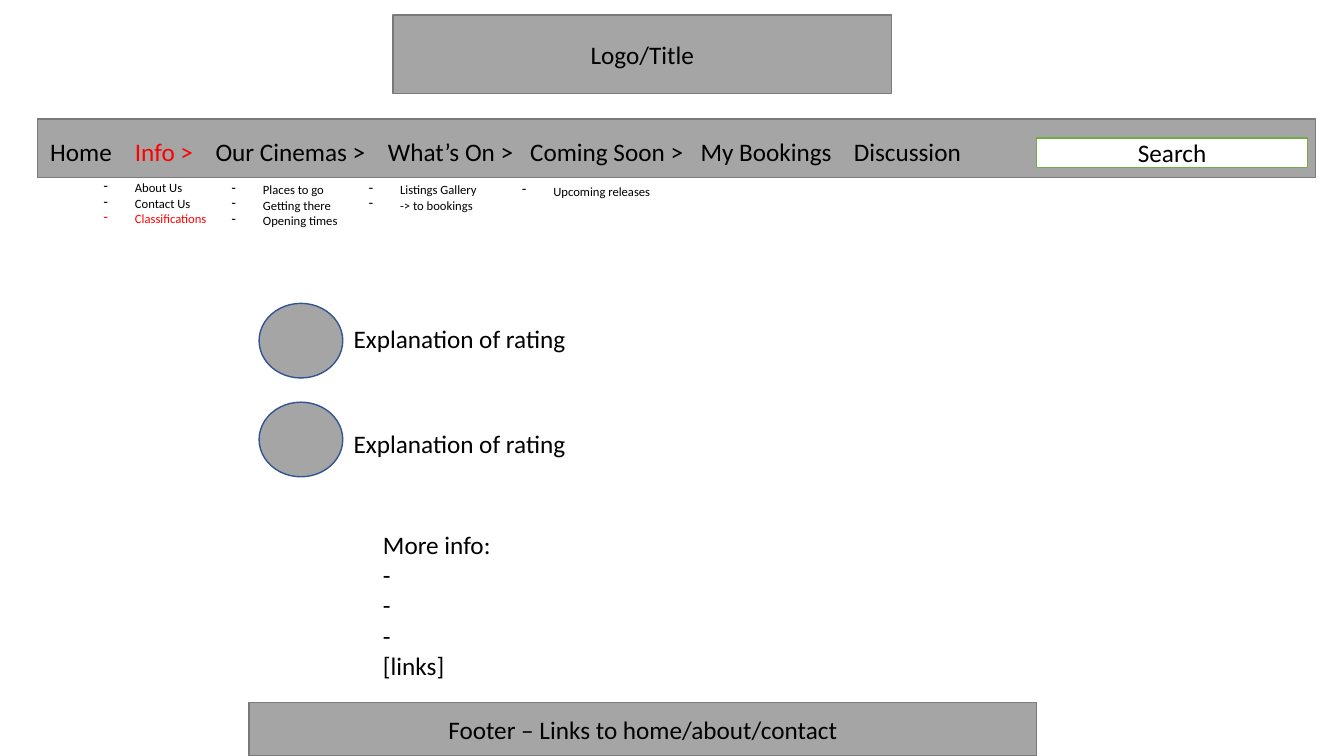
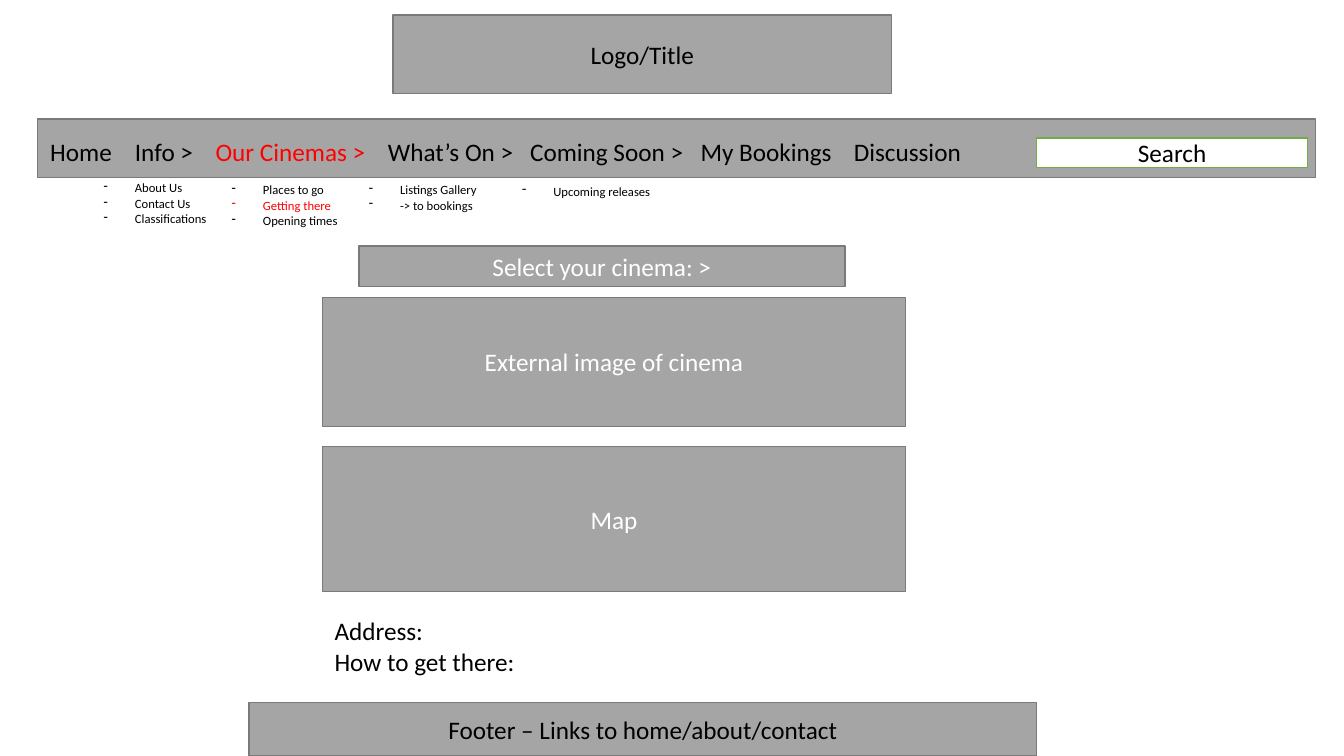
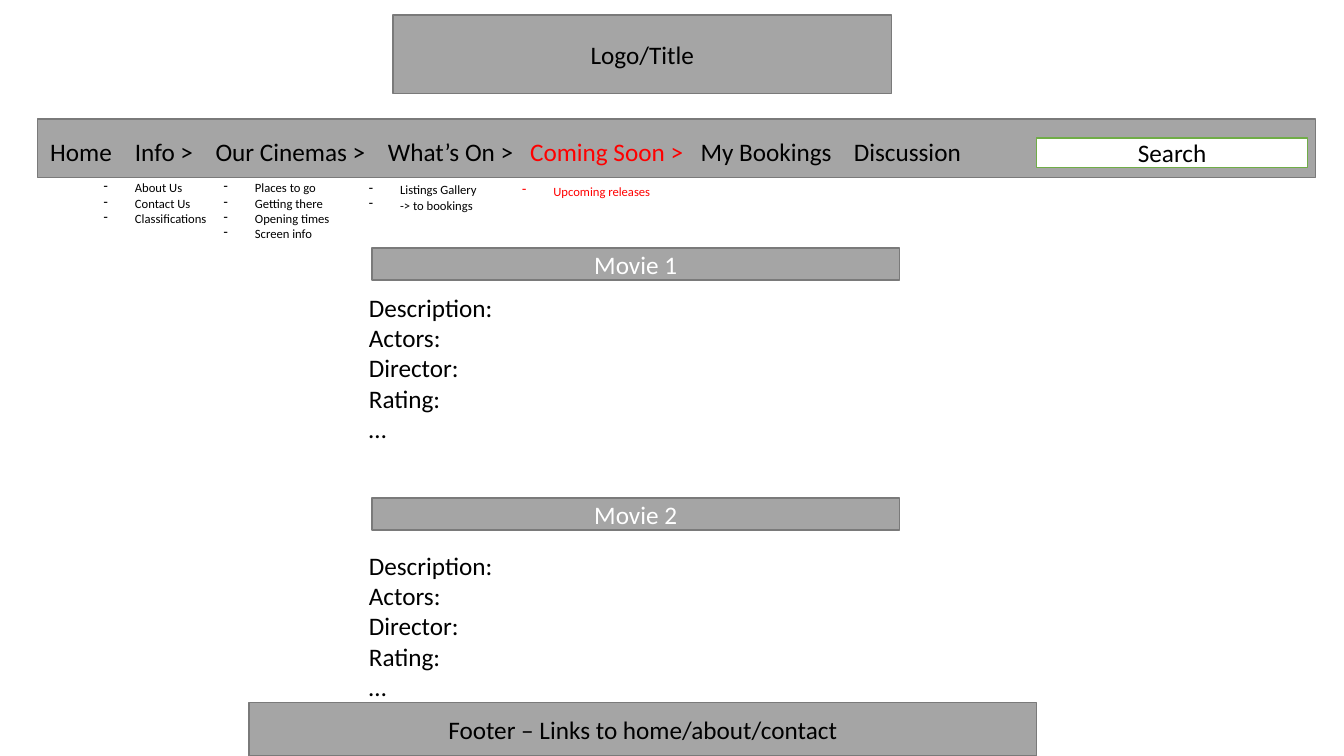
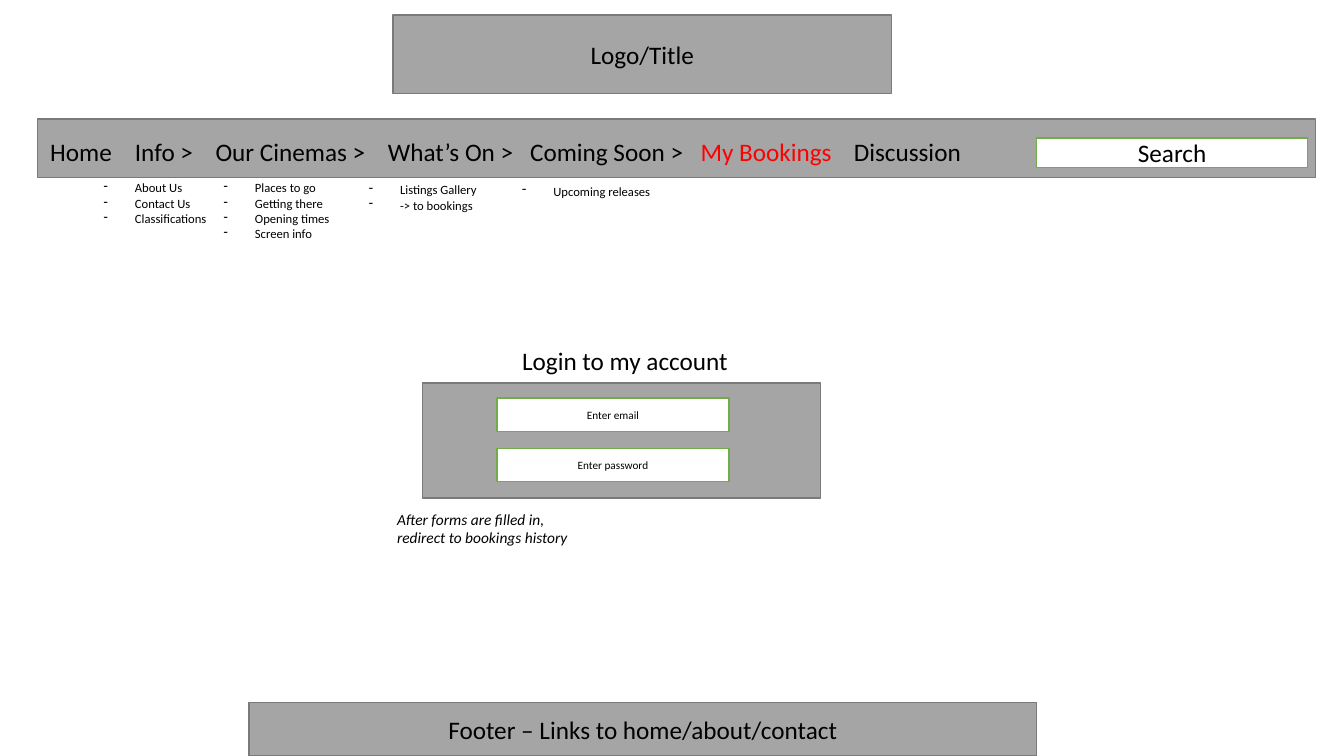
from lxml.etree import SubElement
from pptx import Presentation
from pptx.dml.color import RGBColor
from pptx.enum.shapes import MSO_SHAPE as Shape
from pptx.enum.text import MSO_ANCHOR as Anchor, MSO_AUTO_SIZE as AutoSize, PP_ALIGN as Align
from pptx.oxml.ns import qn
from pptx.util import Inches, Pt

FONT = "Calibri"
BLACK, WHITE, RED = "000000", "FFFFFF", "FF0000"
GREY, GREY_LINE, GREEN, BLUE = "A5A5A5", "7A7A7A", "70AD47", "325491"

# Lengths are inches; a box is left, top, width, height.
NAV = ["Home", "Info >", "Our Cinemas >", "What’s On >", "Coming Soon >",
       "My Bookings", "Discussion"]
NAV_TABS = [0.84, 1.64, 3.35, 4.76, 6.45, 7.97]
CINEMAS = ["Places to go", "Getting there", "Opening times"]
CINEMAS_MENU = ((2.2, 1.76, 1.58, 0.56), CINEMAS)
CINEMAS_LONG_MENU = ((2.12, 1.74, 1.58, 0.71), CINEMAS + ["Screen info"])
MENUS = [
    ((3.56, 1.76, 1.28, 0.4), ["Listings Gallery", "-> to bookings"]),
    ((5.08, 1.77, 6.69, 0.25), ["Upcoming releases"]),
    ((0.93, 1.74, 1.32, 0.56), ["About Us", "Contact Us", "Classifications"]),
]
RATINGS = [("Explanation of rating", 3.01, 3.16), ("Explanation of rating", 3.99, 4.2)]
MORE_INFO = ["More info:", "-", "-", "-", "[links]"]
CINEMA_PANELS = [
    ("Select your cinema: >", (3.56, 2.44, 4.82, 0.4)),
    ("External image of cinema", (3.2, 2.95, 5.78, 1.28)),
    ("Map", (3.2, 4.43, 5.78, 1.44)),
]
DIRECTIONS = ["Address:", "How to get there:"]
MOVIES = [("Movie 1", 2.46, 2.85), ("Movie 2", 4.94, 5.41)]
MOVIE_FACTS = ["Description:", "Actors:", "Director:", "Rating:", "…"]
LOGIN_FIELDS = ["Enter email", "Enter password"]


def rgb(color):
    return RGBColor.from_string(color)


def write(tf, lines, size=18, color=BLACK, align=Align.LEFT, italic=False,
          bullet=None, tabs=(), active=()):
    """Write one paragraph per line; tab-separated parts listed in active turn red."""
    for i, line in enumerate(lines):
        p = tf.paragraphs[0] if i == 0 else tf.add_paragraph()
        p.alignment = align
        pPr = p._p.get_or_add_pPr()
        if bullet:
            pPr.set("marL", str(Inches(0.31)))
            pPr.set("indent", str(-Inches(0.31)))
            SubElement(pPr, qn("a:buChar"), char=bullet)
        if tabs:
            tab_list = SubElement(pPr, qn("a:tabLst"))
            for pos in tabs:
                SubElement(tab_list, qn("a:tab"), pos=str(Inches(pos)), algn="l")
        for j, part in enumerate(line.split("\t")):
            r = p.add_run()
            r.text = "\t" + part if j else part
            r.font.name, r.font.size, r.font.italic = FONT, Pt(size), italic
            r.font.color.rgb = rgb(RED if part in active else color)


def add_text(slide, box, lines, **fmt):
    tf = slide.shapes.add_textbox(*map(Inches, box)).text_frame
    tf.word_wrap = True
    tf.auto_size = AutoSize.SHAPE_TO_FIT_TEXT
    write(tf, lines, **fmt)


def add_panel(slide, box, text=None, fill=GREY, line=GREY_LINE, kind=Shape.RECTANGLE, **fmt):
    sp = slide.shapes.add_shape(kind, *map(Inches, box))
    sp.shadow.inherit = False
    sp.fill.solid()
    sp.fill.fore_color.rgb = rgb(fill)
    sp.line.color.rgb = rgb(line)
    sp.line.width = Pt(1)
    if text:
        sp.text_frame.vertical_anchor = Anchor.MIDDLE
        write(sp.text_frame, [text], align=Align.CENTER, **fmt)


def add_field(slide, box, text, **fmt):
    add_panel(slide, box, text, fill=WHITE, line=GREEN, **fmt)


def add_page(prs, cinemas_menu, active):
    """Add a slide with the header, navigation and footer of the site."""
    slide = prs.slides.add_slide(prs.slide_layouts[6])
    add_panel(slide, (3.9, 0.15, 4.94, 0.78), "Logo/Title")
    add_panel(slide, (0.37, 1.18, 12.68, 0.58))
    add_field(slide, (10.28, 1.37, 2.69, 0.29), "Search")
    add_text(slide, (0.4, 1.3, 9.6, 0.4), ["\t".join(NAV)], tabs=NAV_TABS, active=active)
    for box, items in [cinemas_menu] + MENUS:
        add_text(slide, box, items, size=9, bullet="-", active=active)
    add_panel(slide, (2.47, 6.97, 7.81, 0.53), "Footer – Links to home/about/contact")
    return slide


def classifications(prs):
    slide = add_page(prs, CINEMAS_MENU, ["Info >", "Classifications"])
    for text, circle_top, text_top in RATINGS:
        add_panel(slide, (2.57, circle_top, 0.83, 0.74), line=BLUE, kind=Shape.OVAL)
        add_text(slide, (3.41, text_top, 4.23, 0.4), [text])
    add_text(slide, (3.7, 5.2, 5.31, 1.62), MORE_INFO)


def getting_there(prs):
    slide = add_page(prs, CINEMAS_MENU, ["Our Cinemas >", "Getting there"])
    for text, box in CINEMA_PANELS:
        add_panel(slide, box, text, color=WHITE)
    add_text(slide, (3.22, 6.06, 5.86, 0.71), DIRECTIONS)


def coming_soon(prs):
    slide = add_page(prs, CINEMAS_LONG_MENU, ["Coming Soon >", "Upcoming releases"])
    for title, title_top, facts_top in MOVIES:
        add_panel(slide, (3.69, title_top, 5.23, 0.32), title, color=WHITE)
        add_text(slide, (3.56, facts_top, 5.49, 1.62), MOVIE_FACTS)


def my_bookings(prs):
    slide = add_page(prs, CINEMAS_LONG_MENU, ["My Bookings"])
    add_panel(slide, (4.19, 3.8, 3.95, 1.14))
    for i, text in enumerate(LOGIN_FIELDS):
        add_field(slide, (4.93, 3.95 + 0.5 * i, 2.3, 0.33), text, size=8)
    add_text(slide, (5.08, 3.38, 2.31, 0.4), ["Login to my account"])
    add_text(slide, (3.84, 5.01, 1.93, 0.47),
             ["After forms are filled in, redirect to bookings history"], size=11, italic=True)


def main():
    prs = Presentation()
    prs.slide_width, prs.slide_height = Inches(13.33), Inches(7.5)
    for build in (classifications, getting_there, coming_soon, my_bookings):
        build(prs)
    prs.save("out.pptx")


if __name__ == "__main__":
    main()
